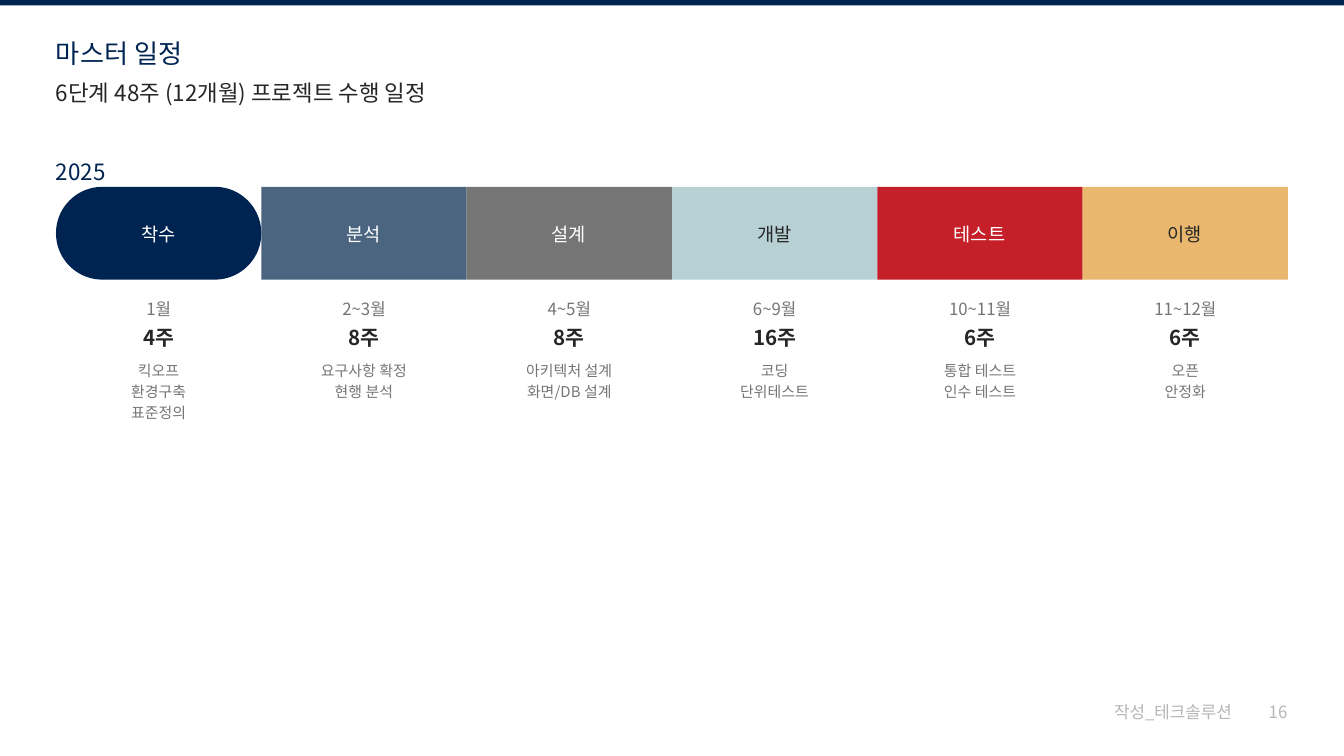
from dataclasses import dataclass
from typing import Any, Optional

from pptx import Presentation
from pptx.dml import color
from pptx.enum import shapes, text
from pptx.oxml import ns
from pptx.util import Inches, Pt
from lxml import etree

FONT = "Noto Sans CJK KR"
NAVY, INK, GRAY, PALE, WHITE = "002452", "262626", "757575", "B6B6B6", "FFFFFF"
SLIDE_W = 10
SLIDE_H = SLIDE_W * 9 / 16
MARGIN = SLIDE_W / 24
BAND_TOP, BAND_H = 1.39, 0.69
CHAR_W = 0.13
INSET = 0.05
CENTER = text.PP_ALIGN.CENTER


@dataclass(frozen=True)
class Phase:
    label: str
    fill: str
    ink: str
    months: str
    weeks: str
    tasks: tuple[str, ...]


@dataclass(frozen=True)
class Caption:
    wording: str
    left: float
    top: float
    width: float
    height: float
    size: float
    ink: str


PHASES = [
    Phase("착수", NAVY, WHITE, "1월", "4주", ("킥오프", "환경구축", "표준정의")),
    Phase("분석", "4B6580", WHITE, "2~3월", "8주", ("요구사항 확정", "현행 분석")),
    Phase("설계", GRAY, WHITE, "4~5월", "8주", ("아키텍처 설계", "화면/DB 설계")),
    Phase("개발", "B7D0D4", INK, "6~9월", "16주", ("코딩", "단위테스트")),
    Phase("테스트", "C51F2A", WHITE, "10~11월", "6주", ("통합 테스트", "인수 테스트")),
    Phase("이행", "E9B86E", INK, "11~12월", "6주", ("오픈", "안정화")),
]
PHASE_W = (SLIDE_W - 2 * MARGIN) / len(PHASES)

HEADINGS = [
    Caption("마스터 일정", MARGIN, 0.28, 2.89, 0.23, 14, NAVY),
    Caption("6단계 48주 (12개월) 프로젝트 수행 일정", MARGIN, 0.59, 2.89, 0.19, 12, INK),
    Caption("2025", MARGIN, 1.18, 0.38, 0.19, 12, NAVY),
]
FOOTER = [
    Caption("작성_테크솔루션", 8.29, 5.22, 0.89, 0.15, 9, PALE),
    Caption("16", 9.44, 5.22, 0.14, 0.15, 9, PALE),
]


def rgb(value: str) -> color.RGBColor:
    return color.RGBColor.from_string(value)


def apply(target: Any, values: dict[str, Any]) -> None:
    for name, value in values.items():
        setattr(target, name, value)


def add_block(slide: Any, kind: Any, left: float, top: float,
              width: float, height: float, fill: str) -> Any:
    block = slide.shapes.add_shape(
        kind, Inches(left), Inches(top), Inches(width), Inches(height))
    block.shadow.inherit = False
    block.fill.solid()
    block.fill.fore_color.rgb = rgb(fill)
    block.line.fill.background()
    return block


def add_text(slide: Any, lines: tuple[str, ...], left: float, top: float,
             width: float, height: float, size: float, ink: str,
             bold: Optional[bool] = None, **paragraph_format: Any) -> None:
    box = slide.shapes.add_textbox(
        Inches(left), Inches(top), Inches(width), Inches(height))
    frame = box.text_frame
    apply(frame, {"word_wrap": True, "margin_left": 0, "margin_right": 0,
                  "margin_top": 0, "margin_bottom": 0})
    for index, line in enumerate(lines):
        paragraph = frame.add_paragraph() if index else frame.paragraphs[0]
        apply(paragraph, paragraph_format)
        run = paragraph.add_run()
        run.text = line
        apply(run.font, {"name": FONT, "size": Pt(size), "bold": bold})
        run.font.color.rgb = rgb(ink)
        # Korean glyphs take the East Asian typeface
        etree.SubElement(run.font._element, ns.qn("a:ea"), typeface=FONT)


def add_caption(slide: Any, caption: Caption) -> None:
    add_text(slide, (caption.wording,), caption.left, caption.top, caption.width,
             caption.height, caption.size, caption.ink)


def add_phase(slide: Any, index: int, phase: Phase) -> None:
    left = MARGIN + index * PHASE_W
    kind = shapes.MSO_SHAPE.RECTANGLE if index else shapes.MSO_SHAPE.ROUNDED_RECTANGLE
    block = add_block(slide, kind, left, BAND_TOP, PHASE_W, BAND_H, phase.fill)
    if not index:
        block.adjustments[0] = 0.5

    label_w = CHAR_W * len(phase.label)
    add_text(slide, (phase.label,), left + (PHASE_W - label_w) / 2, 1.66,
             label_w, 0.16, 10, phase.ink)

    # Months, duration and tasks under the band
    detail_left, detail_w = left + INSET, PHASE_W - 2 * INSET
    add_text(slide, (phase.months,), detail_left, 2.22, detail_w, 0.15, 9, GRAY,
             alignment=CENTER, space_after=Pt(4))
    add_text(slide, (phase.weeks,), detail_left, 2.42, detail_w, 0.17, 11, INK,
             bold=True, alignment=CENTER, space_after=Pt(6))
    add_text(slide, phase.tasks, detail_left, 2.67, detail_w,
             0.16 * len(phase.tasks), 8, GRAY,
             alignment=CENTER, line_spacing=Pt(11.2))


def main() -> None:
    deck = Presentation()
    apply(deck, {"slide_width": Inches(SLIDE_W), "slide_height": Inches(SLIDE_H)})
    slide = deck.slides.add_slide(deck.slide_layouts[6])

    # Top rule and headings
    add_block(slide, shapes.MSO_SHAPE.RECTANGLE, 0, 0, SLIDE_W, 0.04, NAVY)
    for heading in HEADINGS:
        add_caption(slide, heading)

    # Schedule
    for index, phase in enumerate(PHASES):
        add_phase(slide, index, phase)

    # Footer
    for caption in FOOTER:
        add_caption(slide, caption)

    deck.save("out.pptx")


if __name__ == "__main__":
    main()
